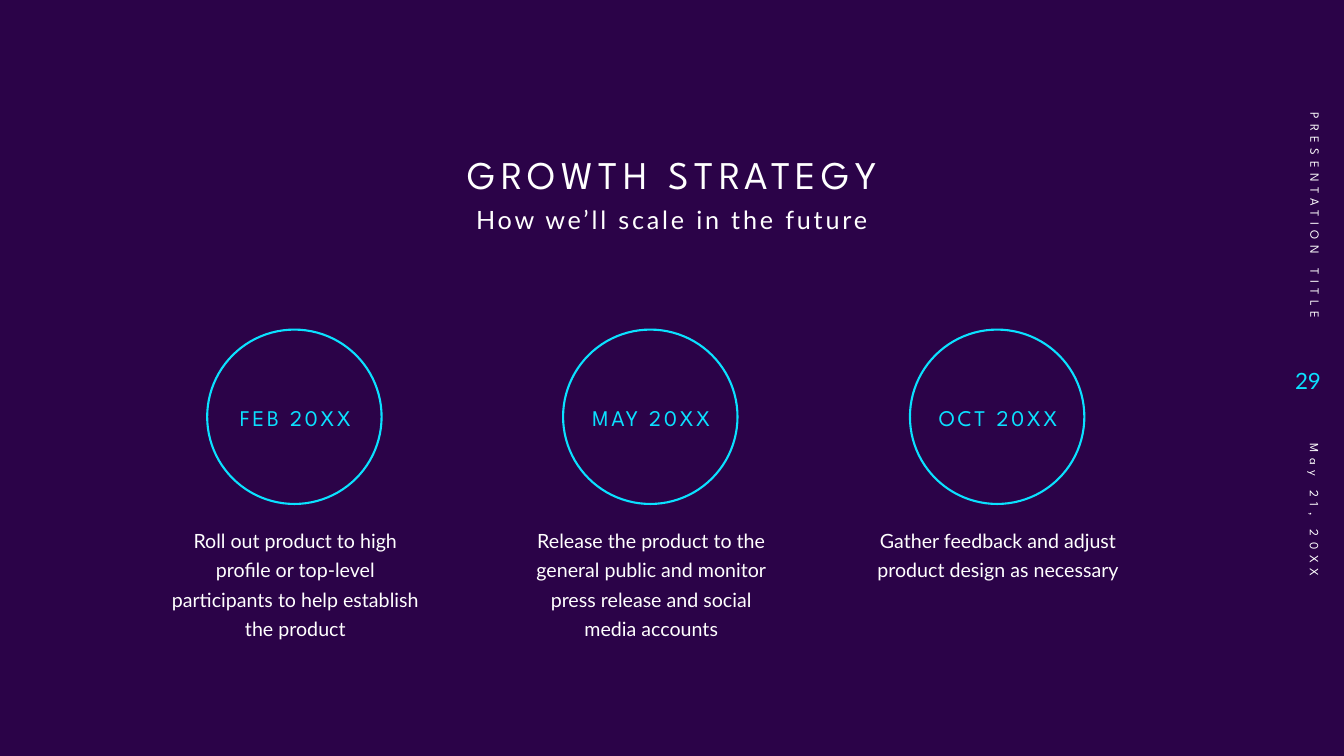
from pptx import Presentation
from pptx.dml.color import RGBColor
from pptx.enum.shapes import MSO_SHAPE
from pptx.enum.text import MSO_ANCHOR, MSO_AUTO_SIZE, PP_ALIGN
from pptx.util import Inches, Pt

OVAL = MSO_SHAPE.OVAL
TOP, MIDDLE, BOTTOM = MSO_ANCHOR.TOP, MSO_ANCHOR.MIDDLE, MSO_ANCHOR.BOTTOM
LEFT, CENTER, RIGHT = PP_ALIGN.LEFT, PP_ALIGN.CENTER, PP_ALIGN.RIGHT
NO_AUTOFIT = MSO_AUTO_SIZE.NONE

PURPLE = RGBColor(0x2B, 0x03, 0x48)
CYAN = RGBColor(0x0B, 0xE1, 0xFF)
WHITE = RGBColor(0xFF, 0xFF, 0xFF)
HEADING_FONT, BODY_FONT = "League Spartan", "Lato"

TITLE = "GROWTH STRATEGY"
SUBTITLE = "How we’ll scale in the future"
MILESTONES = [
    (2.93, "FEB 20XX", "Roll out product to high profile or top-level "
     "participants to help establish the product"),
    (6.46, "MAY 20XX", "Release the product to the general public and monitor "
     "press release and social media accounts"),
    (9.9, "OCT 20XX", "Gather feedback and adjust product design as necessary"),
]
FOOTER = "PRESENTATION TITLE"
PAGE_NUMBER = "29"
DATE = "May 21, 20XX"

CIRCLE_SIZE, LABEL_WIDTH, DETAIL_WIDTH = 1.73, 1.87, 2.66

prs = Presentation()
prs.slide_width, prs.slide_height = Inches(13.33), Inches(7.5)
slide = prs.slides.add_slide(prs.slide_layouts[5])
slide.background.fill.solid()
slide.background.fill.fore_color.rgb = PURPLE


def write(text, at, size, font=BODY_FONT, color=WHITE, align=CENTER, anchor=TOP,
          tracking=0, line_spacing=1.0, rotation=0, holder=None):
    left, top, width, height = (Inches(value) for value in at)
    box = holder or slide.shapes.add_textbox(left, top, width, height)
    box.left, box.top, box.width, box.height = left, top, width, height
    box.rotation = rotation
    frame = box.text_frame
    frame.word_wrap = True
    frame.auto_size = NO_AUTOFIT
    frame.vertical_anchor = anchor
    paragraph = frame.paragraphs[0]
    paragraph.alignment = align
    paragraph.line_spacing = line_spacing
    run = paragraph.add_run()
    run.text = text
    run.font.size = Pt(size)
    run.font.name = font
    run.font.color.rgb = color
    if tracking:
        run.font._element.set("spc", str(tracking * 100))


def draw_circle(center):
    circle = slide.shapes.add_shape(
        OVAL, Inches(center - 0.01 - CIRCLE_SIZE / 2), Inches(3.27),
        Inches(CIRCLE_SIZE), Inches(CIRCLE_SIZE))
    circle.shadow.inherit = False
    circle.fill.background()
    circle.line.color.rgb = CYAN
    circle.line.width = Pt(1.5)


write(TITLE, (3.6, 1.27, 6.14, 0.74), 28, font=HEADING_FONT, anchor=BOTTOM,
      tracking=4, line_spacing=0.9, holder=slide.shapes.title)
write(SUBTITLE, (3.85, 2.01, 5.63, 0.79), 18, tracking=2, line_spacing=0.9)

for center, month, detail in MILESTONES:
    draw_circle(center)
    write(month, (center - LABEL_WIDTH / 2, 3.57, LABEL_WIDTH, 1.15), 16,
          font=HEADING_FONT, color=CYAN, anchor=MIDDLE, tracking=2)
    write(detail, (center - DETAIL_WIDTH / 2, 5.14, DETAIL_WIDTH, 1.26), 14,
          line_spacing=1.25)

write(FOOTER, (11.53, 1.54, 3.03, 0.4), 9, font=HEADING_FONT, align=RIGHT,
      anchor=MIDDLE, tracking=4, rotation=90)
write(PAGE_NUMBER, (12.6, 3.46, 0.6, 0.63), 16, color=CYAN, align=RIGHT, anchor=MIDDLE)
write(DATE, (11.59, 5.55, 2.9, 0.4), 9, font=HEADING_FONT, align=LEFT,
      anchor=MIDDLE, tracking=4, rotation=90)

prs.save("out.pptx")
